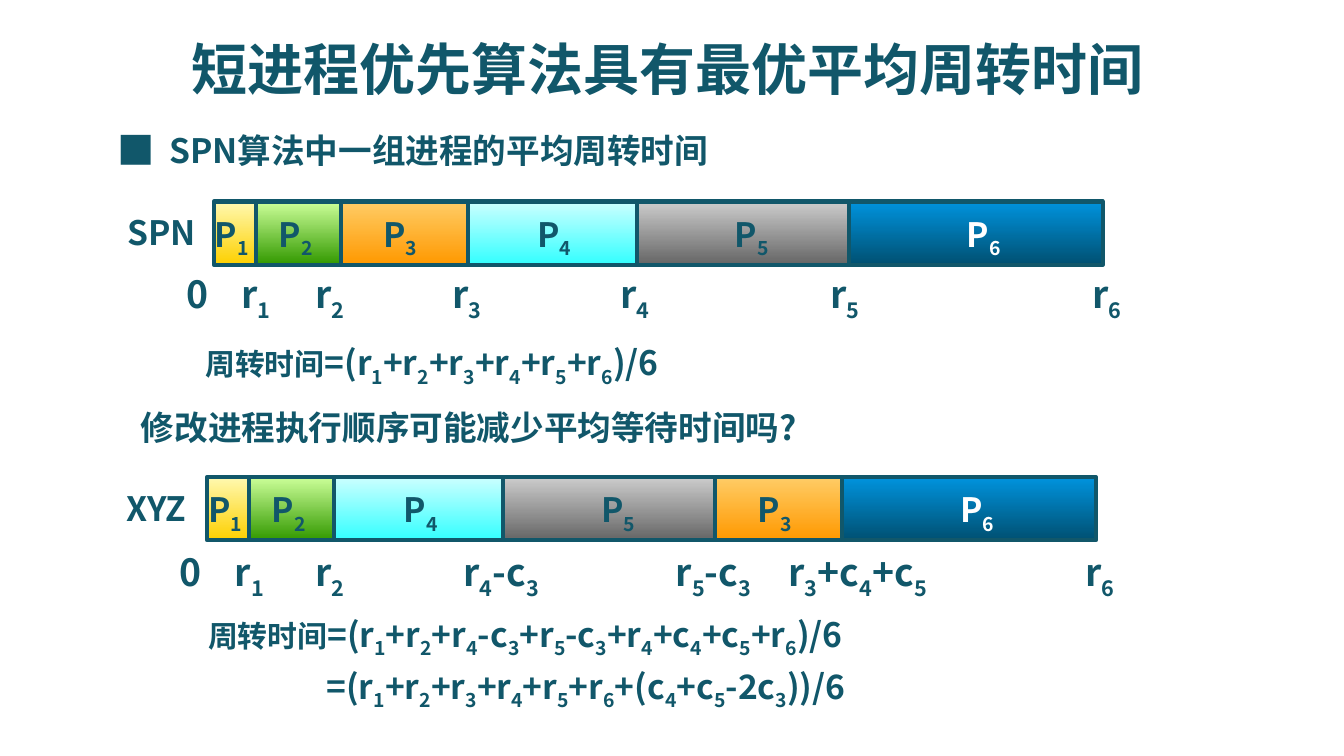
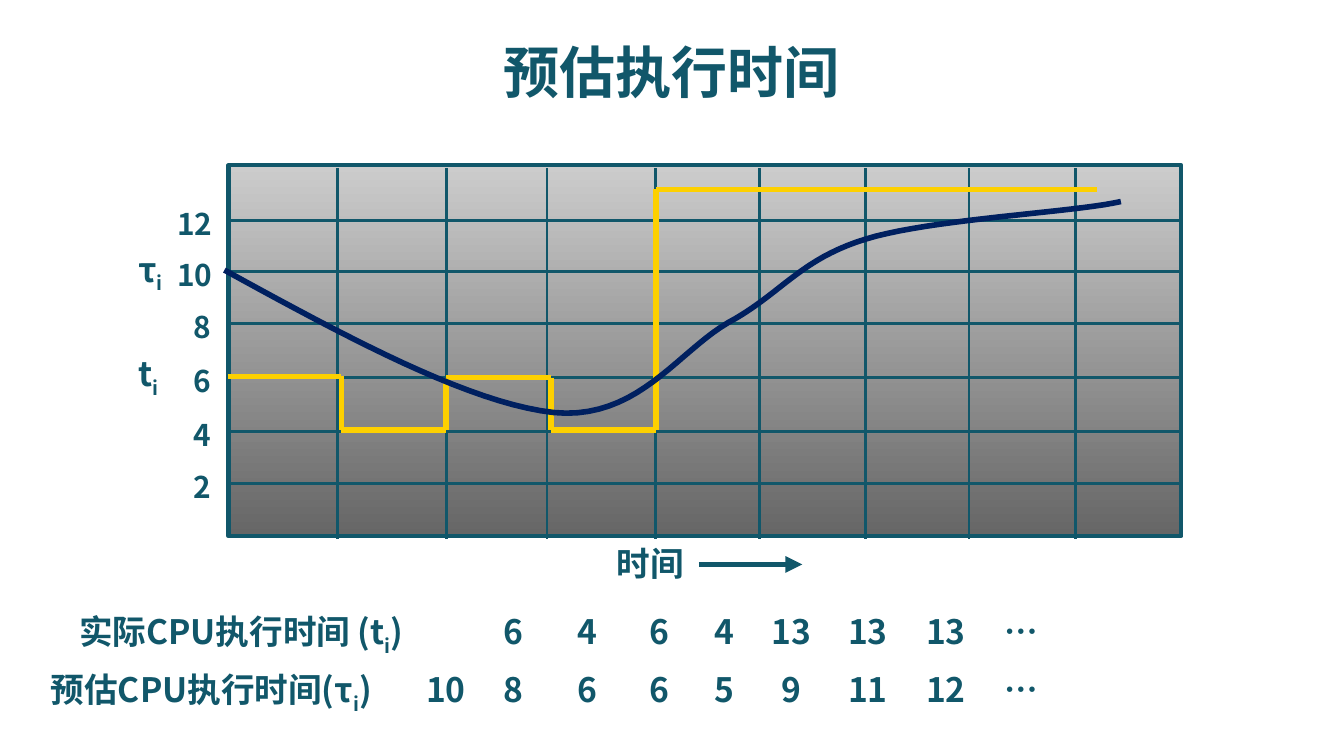
from lxml.etree import SubElement
from pptx import Presentation
from pptx.dml.color import RGBColor
from pptx.enum.shapes import MSO_CONNECTOR, MSO_SHAPE
from pptx.enum.text import MSO_ANCHOR, MSO_AUTO_SIZE, PP_ALIGN
from pptx.oxml.ns import qn
from pptx.util import Inches, Pt

TEAL = RGBColor(0x11, 0x57, 0x6A)
WHITE = RGBColor(0xFF, 0xFF, 0xFF)
GOLD = RGBColor(0xFD, 0xD0, 0x00)
NAVY = RGBColor(0x00, 0x20, 0x60)
GREY = (RGBColor(0xCC, 0xCC, 0xCC), RGBColor(0x66, 0x66, 0x66))
FONT = "Noto Sans CJK SC"
MARK = "Noto Sans CJK JP"

# In all texts, "_" makes the next character a subscript.

# Process number: gradient, label colour, label offset from the bar's left
JOBS = {
    1: ((RGBColor(0xFF, 0xF9, 0xB1), GOLD), TEAL, -0.09),
    2: ((RGBColor(0xCC, 0xFF, 0x99), RGBColor(0x33, 0x99, 0x00)), TEAL, 0.07),
    3: ((RGBColor(0xFF, 0xCC, 0x66), RGBColor(0xFF, 0x99, 0x00)), TEAL, 0.22),
    4: ((RGBColor(0xCC, 0xFF, 0xFF), RGBColor(0x33, 0xFF, 0xFF)), TEAL, 0.42),
    5: (GREY, TEAL, 0.63),
    6: ((RGBColor(0x00, 0x93, 0xDD), RGBColor(0x00, 0x50, 0x72)), WHITE, 0.78),
}
UNIT = 0.315  # bar width for one unit of run time

ROWS = [
    dict(name="SPN", left=1.59, top=1.5, order=(1, 2, 3, 4, 5, 6),
         side=0.85, base=1.97,
         ticks=[("0", 1.29, 0.39), ("r_1", 1.7, 0.47), ("r_2", 2.25, 0.47),
                ("r_3", 3.27, 0.47), ("r_4", 4.52, 0.47),
                ("r_5", 6.08, 0.47), ("r_6", 8.03, 0.47)]),
    dict(name="XYZ", left=1.54, top=3.55, order=(1, 2, 4, 5, 3, 6),
         side=0.84, base=4.04,
         ticks=[("0", 1.24, 0.39), ("r_1", 1.65, 0.47), ("r_2", 2.25, 0.47),
                ("r_4-c_3", 3.35, 0.86), ("r_5-c_3", 4.93, 0.86),
                ("r_3+c_4+c_5", 5.77, 1.8), ("r_6", 7.98, 0.47)]),
]

# Left, top, width, then (text, size) parts
NOTES = [
    (1.16, 0.95, 4.72, [("SPN算法中一组进程的平均周转时间", 18)]),
    (1.43, 2.5, 4.57, [("周转时间", 16),
                       ("=(r_1+r_2+r_3+r_4+r_5+r_6)/6", 18)]),
    (0.95, 3.01, 7.69, [("修改进程执行顺序可能减少平均等待时间吗?", 18)]),
    (1.45, 4.52, 5.58, [("周转时间", 16),
                        ("=(r_1+r_2+r_4-c_3+r_5-c_3+r_4+c_4+c_5+r_6)/6", 18)]),
    (2.33, 4.91, 5.58, [("=(r_1+r_2+r_3+r_4+r_5+r_6+(c_4+c_5-2c_3))/6", 18)]),
]

PLOT = (1.7, 1.23, 7.09, 2.76)
COLS = [2.51, 3.32, 4.07, 4.88, 5.65, 6.44, 7.21, 8.0]
LINES = [(12, 1.64), (10, 2.02), (8, 2.41), (6, 2.81), (4, 3.21), (2, 3.6)]
STEPS = [(1.7, 2.8), (2.54, 2.8), (2.54, 3.2), (3.32, 3.2), (3.32, 2.81),
         (4.1, 2.81), (4.1, 3.2), (4.88, 3.2), (4.88, 1.41), (8.16, 1.41)]
CURVE = [(1.67, 2.01), (2.58, 2.51), (3.49, 3.0), (4.12, 3.07), (4.74, 3.13),
         (5.04, 2.62), (5.42, 2.4), (5.81, 2.19), (5.95, 1.93), (6.44, 1.78),
         (6.92, 1.63), (8.0, 1.58), (8.34, 1.5)]
SIGNS = [("τ_i", 0.93, 1.8, 0.4), ("t_i", 0.93, 2.58, 0.36),
         ("时间", 4.49, 3.99, 0.71)]

STOPS = [3.32, 3.82, 4.37, 4.91, 5.39, 5.89, 6.46, 7.04, 7.6]
TIMES = [
    ("实际CPU执行时间 (t_i)", 0.49, 4.5, 8.47,
     ["6", "4", "6", "4", "13", "13", "13", "…"]),
    ("预估CPU执行时间(τ_i)", 0.28, 4.93, 8.67,
     ["10", "8", "6", "6", "5", "9", "11", "12", "…"]),
]


def write(para, text, size, color=TEAL, font=FONT):
    """Add text to a paragraph, run by run, with its subscripts."""
    head, *rest = text.split("_")
    runs = [(head, False)]
    for part in rest:
        runs += [(part[0], True), (part[1:], False)]
    for word, low in runs:
        if not word:
            continue
        run = para.add_run()
        run.text = word
        run.font.size = Pt(size)
        run.font.bold = True
        run.font.name = font
        run.font.color.rgb = color
        props = run.font._element
        SubElement(props, qn("a:ea")).set("typeface", font)
        if low:
            props.set("baseline", "-25000")


def box(slide, left, top, width, high, wrap=True):
    """Add an empty text box and return its first paragraph."""
    frame = slide.shapes.add_textbox(
        Inches(left), Inches(top), Inches(width), Inches(high)).text_frame
    frame.word_wrap = wrap
    frame.auto_size = MSO_AUTO_SIZE.NONE if wrap else MSO_AUTO_SIZE.SHAPE_TO_FIT_TEXT
    return frame.paragraphs[0]


def label(slide, text, left, top, width, size=18, color=TEAL):
    """Add a short label that does not wrap."""
    high = 0.4 if size == 18 else 0.37
    write(box(slide, left, top, width, high, False), text, size, color)


def title(slide, text, left, top):
    """Add the centred slide title."""
    shape = slide.shapes.add_textbox(
        Inches(left), Inches(top), Inches(9), Inches(0.56))
    frame = shape.text_frame
    frame.word_wrap = True
    frame.margin_top = Inches(0.09)
    frame.vertical_anchor = MSO_ANCHOR.MIDDLE
    frame.paragraphs[0].alignment = PP_ALIGN.CENTER
    write(frame.paragraphs[0], text, 30)


def block(slide, left, top, width, high, shades):
    """Add a framed rectangle shaded from top to bottom."""
    shape = slide.shapes.add_shape(
        MSO_SHAPE.RECTANGLE, Inches(left), Inches(top), Inches(width), Inches(high))
    shape.shadow.inherit = False
    shape.fill.gradient()
    shape.fill.gradient_angle = 270
    for place, (stop, shade) in enumerate(zip(shape.fill.gradient_stops, shades)):
        stop.position = place
        stop.color.rgb = shade
    shape.line.color.rgb = TEAL
    shape.line.width = Pt(2.25)


def rule(slide, start, end, color=TEAL, width=1.5, arrow=False):
    """Add a straight line, with an arrowhead if asked."""
    line = slide.shapes.add_connector(
        MSO_CONNECTOR.STRAIGHT, *(Inches(v) for v in (*start, *end)))
    line.line.color.rgb = color
    line.line.width = Pt(width)
    if arrow:
        SubElement(line.line._get_or_add_ln(), qn("a:tailEnd")).set("type", "triangle")
    SubElement(line._element.spPr, qn("a:effectLst"))


def trace(knots, count=20):
    """Return points along a chain of cubic Bezier curves."""
    points = [knots[0]]
    for i in range(0, len(knots) - 1, 3):
        for k in range(1, count + 1):
            t = k / count
            u = 1 - t
            parts = (u ** 3, 3 * u * u * t, 3 * u * t * t, t ** 3)
            points.append(tuple(
                sum(w * knot[axis] for w, knot in zip(parts, knots[i:i + 4]))
                for axis in (0, 1)))
    return points


def curve(slide, knots):
    """Draw the smooth estimate curve."""
    first, *rest = [(Inches(x), Inches(y)) for x, y in trace(knots)]
    maker = slide.shapes.build_freeform(*first)
    maker.add_line_segments(rest, close=False)
    shape = maker.convert_to_shape()
    shape.shadow.inherit = False
    shape.fill.background()
    shape.line.color.rgb = NAVY
    shape.line.width = Pt(3)


def gantt(slide, row):
    """Draw one schedule: name, bars, labels and ticks."""
    left, top = row["left"], row["top"]
    for job in row["order"]:
        shades, color, shift = JOBS[job]
        block(slide, left, top, job * UNIT, 0.47, shades)
        left += job * UNIT
    left = row["left"]
    for job in row["order"]:
        shades, color, shift = JOBS[job]
        label(slide, f"P_{job}", left + shift, top + 0.04, 0.47, color=color)
        left += job * UNIT
    for text, x, width in row["ticks"]:
        write(box(slide, x, row["base"], width, 0.47), text, 20)
    label(slide, row["name"], row["side"], top + 0.03, 0.71)


def tabs(para, places):
    """Give a paragraph centred tab stops."""
    group = SubElement(para._p.get_or_add_pPr(), qn("a:tabLst"))
    for place in places:
        tab = SubElement(group, qn("a:tab"))
        tab.set("pos", str(Inches(place)))
        tab.set("algn", "ctr")


def order(deck):
    """Build the slide that compares two schedules."""
    slide = deck.slides.add_slide(deck.slide_layouts[6])
    title(slide, "短进程优先算法具有最优平均周转时间", 0.47, 0.21)
    write(box(slide, 0.78, 0.9, 0.47, 0.44), "■", 20, font=MARK)
    for row in ROWS:
        gantt(slide, row)
    for left, top, width, parts in NOTES:
        para = box(slide, left, top, width, 0.41)
        para.line_spacing = 0.9
        for text, size in parts:
            write(para, text, size)


def guess(deck):
    """Build the slide that plots actual and estimated times."""
    slide = deck.slides.add_slide(deck.slide_layouts[6])
    title(slide, "预估执行时间", 0.5, 0.23)
    block(slide, *PLOT, GREY)
    left, top, width, high = PLOT
    for x in COLS:
        rule(slide, (x, top + 0.02), (x, top + high + 0.02))
    for value, y in LINES:
        rule(slide, (left, y), (left + width, y))
        wide = value > 9
        label(slide, str(value), 1.22 if wide else 1.34, y - 0.16,
              0.48 if wide else 0.34, 16)
    for sign in SIGNS:
        label(slide, *sign)
    rule(slide, (5.2, 4.2), (5.97, 4.2), width=3, arrow=True)
    for start, end in zip(STEPS, STEPS[1:]):
        rule(slide, start, end, GOLD, 3)
    curve(slide, CURVE)
    for text, x, y, wide, values in TIMES:
        para = box(slide, x, y, wide, 0.4)
        tabs(para, [stop - x - 0.1 for stop in STOPS[-len(values):]])
        write(para, "\t".join([text, *values]), 18)


deck = Presentation()
deck.slide_width = Inches(10)
deck.slide_height = Inches(10) * 9 // 16
order(deck)
guess(deck)
deck.save("out.pptx")
